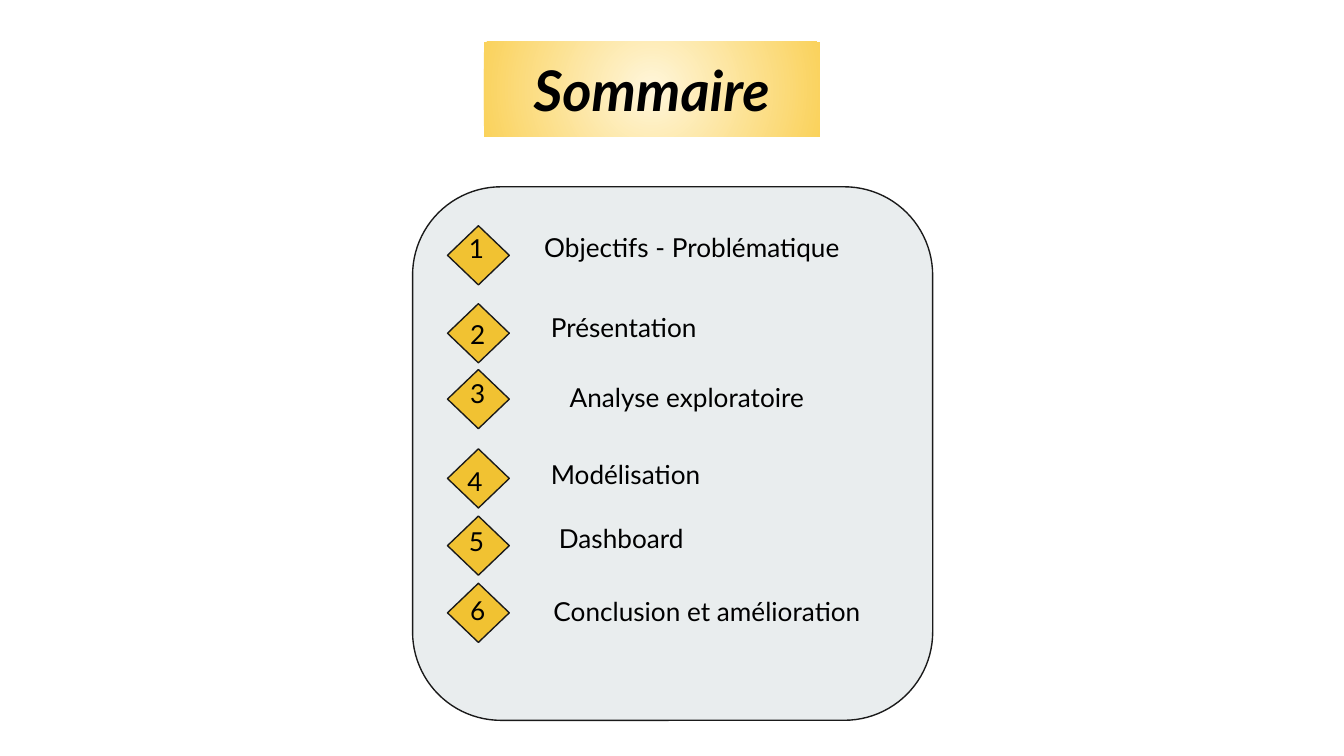
from pptx import Presentation
from pptx.dml.color import RGBColor
from pptx.enum.shapes import MSO_SHAPE
from pptx.enum.text import MSO_ANCHOR, MSO_AUTO_SIZE, PP_ALIGN
from pptx.oxml import parse_xml
from pptx.oxml.ns import nsdecls, qn
from pptx.util import Inches, Pt

TITLE = "Sommaire"

# label, diamond top, (number left, top, width), (label left, top, width)
ENTRIES = [
    ("Objectifs - Problématique", 1.68, (3.39, 1.63, 0.31), (3.95, 1.62, 2.62)),
    ("Présentation", 2.26, (3.40, 2.27, 0.31), (4.00, 2.22, 2.45)),
    ("Analyse exploratoire", 2.75, (3.40, 2.71, 0.24), (4.14, 2.74, 2.48)),
    ("Modélisation", 3.34, (3.38, 3.36, 0.35), (4.00, 3.31, 2.77)),
    ("Dashboard", 3.84, (3.39, 3.81, 0.35), (4.06, 3.79, 2.88)),
    ("Conclusion et amélioration", 4.34, (3.40, 4.32, 0.24), (4.02, 4.33, 2.60)),
]

THEME = {
    "font": "Lato",
    "text": "000000",
    "panel": "E9EDEE",
    "diamond": "F1C232",
    "outline": "1A1A1A",
    "glow": ("FFF6DB", "FAD25C"),
    "title_size": 30,
    "body_size": 14,
}
ROW_HEIGHT = 0.44
DIAMOND_LEFT, DIAMOND_WIDTH = 3.33, 0.46


def write(shape, text, size, bold=None, align=PP_ALIGN.LEFT, anchor=MSO_ANCHOR.TOP):
    frame = shape.text_frame
    frame.word_wrap = True
    frame.auto_size = MSO_AUTO_SIZE.NONE
    frame.vertical_anchor = anchor
    frame.margin_left = frame.margin_right = Inches(0.1)
    frame.margin_top = frame.margin_bottom = Inches(0.1)
    para = frame.paragraphs[0]
    para.alignment = align
    span = para.add_run()
    span.text = text
    span.font.name = THEME["font"]
    span.font.size = Pt(size)
    span.font.bold = span.font.italic = bold
    span.font.color.rgb = RGBColor.from_string(THEME["text"])


def add_text(page, text, left, top, width):
    box = page.shapes.add_textbox(*map(Inches, (left, top, width, ROW_HEIGHT)))
    write(box, text, THEME["body_size"])


def add_outlined(page, kind, place, fill):
    shape = page.shapes.add_shape(kind, *map(Inches, place))
    shape.shadow.inherit = False
    shape.fill.solid()
    shape.fill.fore_color.rgb = RGBColor.from_string(fill)
    shape.line.color.rgb = RGBColor.from_string(THEME["outline"])
    shape.line.width = Pt(0.75)
    return shape


def fill_radial(shape, inner, outer):
    shape.fill.gradient()
    gradient = shape.element.spPr.find(qn("a:gradFill"))
    radial = parse_xml(
        f'<a:gradFill {nsdecls("a")} rotWithShape="1"><a:gsLst>'
        f'<a:gs pos="0"><a:srgbClr val="{inner}"/></a:gs>'
        f'<a:gs pos="100000"><a:srgbClr val="{outer}"/></a:gs></a:gsLst>'
        '<a:path path="circle"><a:fillToRect l="50000" t="50000" r="50000" b="50000"/>'
        '</a:path></a:gradFill>'
    )
    gradient.getparent().replace(gradient, radial)


def add_title(page):
    title = page.shapes.title
    title.left, title.top, title.width, title.height = map(Inches, (3.6, 0.31, 2.5, 0.71))
    fill_radial(title, *THEME["glow"])
    write(title, TITLE, THEME["title_size"], True, PP_ALIGN.CENTER, MSO_ANCHOR.MIDDLE)


def main():
    deck = Presentation()
    deck.slide_width = Inches(10)
    deck.slide_height = deck.slide_width * 9 // 16
    page = deck.slides.add_slide(deck.slide_layouts.get_by_name("Title Only"))

    add_title(page)
    panel = add_outlined(
        page, MSO_SHAPE.ROUNDED_RECTANGLE, (3.07, 1.39, 3.87, 3.97), THEME["panel"]
    )
    panel.adjustments[0] = 0.17
    for number, (label, top, number_place, label_place) in enumerate(ENTRIES, 1):
        place = (DIAMOND_LEFT, top, DIAMOND_WIDTH, ROW_HEIGHT)
        add_outlined(page, MSO_SHAPE.DIAMOND, place, THEME["diamond"])
        add_text(page, str(number), *number_place)
        add_text(page, label, *label_place)

    deck.save("out.pptx")


if __name__ == "__main__":
    main()
